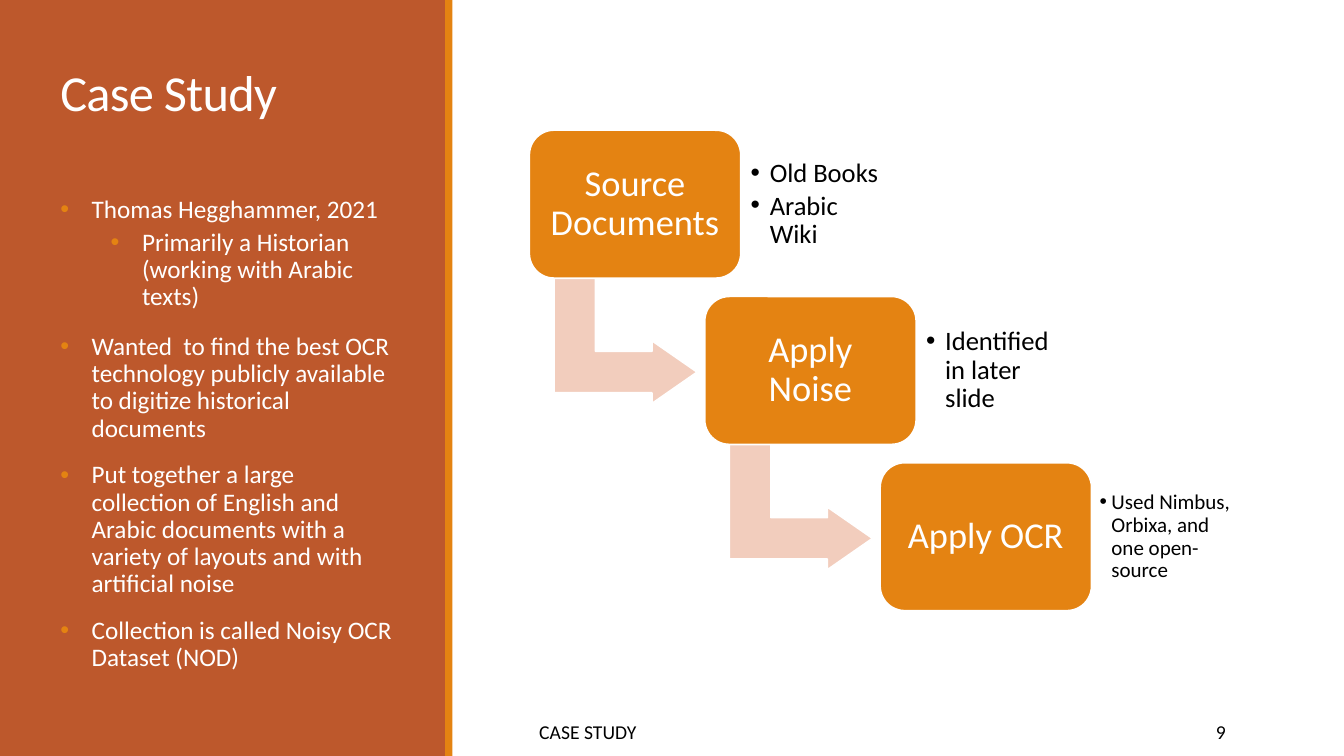
from dataclasses import dataclass

from lxml import etree
from pptx import Presentation
from pptx.dml.color import RGBColor
from pptx.enum.shapes import MSO_SHAPE
from pptx.enum.text import MSO_ANCHOR, MSO_AUTO_SIZE, PP_ALIGN
from pptx.oxml.ns import qn
from pptx.util import Cm, Pt

RECT, ROUNDED = MSO_SHAPE.RECTANGLE, MSO_SHAPE.ROUNDED_RECTANGLE
BENT_ARROW = MSO_SHAPE.BENT_UP_ARROW
TOP, MIDDLE = MSO_ANCHOR.TOP, MSO_ANCHOR.MIDDLE
LEFT, CENTER, RIGHT = PP_ALIGN.LEFT, PP_ALIGN.CENTER, PP_ALIGN.RIGHT

FONT = "Calibri"
COLORS = {"rust": "BD582C", "orange": "E48312", "peach": "F2CDBD",
          "white": "FFFFFF", "black": "000000"}

# Staircase geometry in cm
FIRST_X, FIRST_Y = 13.34, 3.28
STEP_X, STEP_Y = 4.42, 4.19
BOX_W, BOX_H = 5.33, 3.73


@dataclass
class Para:
    text: str
    indent: float = 0
    before: float = 0
    after: float = 0


@dataclass
class Step:
    name: str
    notes: list[str]
    size: float = 19
    hang: float = 0.48
    inset: float = 0.25


POINTS = [
    Para("Thomas Hegghammer, 2021", 0.79, 0, 2),
    Para("Primarily a Historian (working with Arabic texts)", 2.06, 2, 4),
    Para("Wanted  to find the best OCR technology publicly available "
         "to digitize historical documents", 0.79, 12, 2),
    Para("Put together a large collection of English and Arabic documents "
         "with a variety of layouts and with artificial noise", 0.79, 12, 2),
    Para("Collection is called Noisy OCR Dataset (NOD)", 0.79, 12, 2),
]
STEPS = [
    Step("Source Documents", ["Old Books", "Arabic Wiki"]),
    Step("Apply Noise", ["Identified in later slide"]),
    Step("Apply OCR", ["Used Nimbus, Orbixa, and one open-source"], 15, 0.3, 0.2),
]


def rgb(name: str) -> RGBColor:
    return RGBColor.from_string(COLORS[name])


def add_bullet(p, indent: float, hang: float, color: str) -> None:
    pPr = p._p.get_or_add_pPr()
    pPr.set("marL", str(Cm(indent)))
    pPr.set("indent", str(-Cm(hang)))
    clr = etree.SubElement(pPr, qn("a:buClr"))
    etree.SubElement(clr, qn("a:srgbClr")).set("val", COLORS[color])
    etree.SubElement(pPr, qn("a:buFont")).set("typeface", "Arial")
    etree.SubElement(pPr, qn("a:buChar")).set("char", "•")


def write(shape, paras: list[Para], *, size: float, color: str, align=LEFT,
          anchor=TOP, spacing: float = 0.9, insets=(0.25, 0.13),
          hang: float = 0, bullet: str = "", tracking: int = 0) -> None:
    tf = shape.text_frame
    tf.word_wrap = True
    tf.auto_size = MSO_AUTO_SIZE.NONE
    tf.vertical_anchor = anchor
    tf.margin_left = tf.margin_right = Cm(insets[0])
    tf.margin_top = tf.margin_bottom = Cm(insets[1])
    for i, para in enumerate(paras):
        p = tf.add_paragraph() if i else tf.paragraphs[0]
        p.alignment = align
        p.line_spacing = spacing
        p.space_before, p.space_after = Pt(para.before), Pt(para.after)
        if bullet:
            add_bullet(p, para.indent, hang, bullet)
        r = p.add_run()
        r.text = para.text
        r.font.name, r.font.size = FONT, Pt(size)
        r.font.color.rgb = rgb(color)
        if tracking:
            r.font._element.set("spc", str(tracking))


def add_block(s, kind, x: float, y: float, w: float, h: float, fill: str,
              line: str = ""):
    sp = s.shapes.add_shape(kind, Cm(x), Cm(y), Cm(w), Cm(h))
    sp.shadow.inherit = False
    sp.fill.solid()
    sp.fill.fore_color.rgb = rgb(fill)
    if line:
        sp.line.color.rgb = rgb(line)
        sp.line.width = Pt(1.25)
    else:
        sp.line.fill.background()
    return sp


def add_text(s, x: float, y: float, w: float, h: float, paras: list[Para],
             **fmt) -> None:
    write(s.shapes.add_textbox(Cm(x), Cm(y), Cm(w), Cm(h)), paras, **fmt)


def add_step(s, step: Step, x: float, y: float, has_next: bool) -> None:
    if has_next:
        arrow = add_block(s, BENT_ARROW, x + 0.84, y + 3.5, 3.17, 3.61,
                          "peach", "white")
        arrow.rotation = 90
        for i, value in enumerate((0.33, 0.25, 0.36)):
            arrow.adjustments[i] = value
    box = add_block(s, ROUNDED, x, y, BOX_W, BOX_H, "orange", "white")
    write(box, [Para(step.name)], size=26, color="white", align=CENTER,
          anchor=MIDDLE, insets=(0.28, 0.28))
    notes = [Para(note, step.hang, after=3) for note in step.notes]
    add_text(s, x + BOX_W, y + 0.36, 3.88, 3.02, notes, size=step.size,
             color="black", anchor=MIDDLE, insets=(step.inset, step.inset),
             hang=step.hang, bullet="black")


def main() -> None:
    prs = Presentation()
    prs.slide_width, prs.slide_height = Cm(33.87), Cm(19.05)
    s = prs.slides.add_slide(prs.slide_layouts[5])

    # Side panel
    add_block(s, RECT, 0, 0, 11.25, 19.05, "rust")
    add_block(s, RECT, 11.22, 0, 0.18, 19.05, "orange")

    # Title, raised above the panel
    title = s.shapes.title
    s.shapes._spTree.append(title._element)
    title.left, title.top = Cm(1.27), Cm(1.65)
    title.width, title.height = Cm(8.89), Cm(6.35)
    write(title, [Para("Case Study")], size=36, color="white", spacing=0.85,
          tracking=-50)

    # Bullet points
    add_text(s, 1.27, 4.83, 8.89, 12.57, POINTS, size=18, color="white",
             hang=0.79, bullet="orange")

    # Staircase of steps
    for i, step in enumerate(STEPS):
        add_step(s, step, FIRST_X + i * STEP_X, FIRST_Y + i * STEP_Y,
                 i < len(STEPS) - 1)

    # Footer and slide number
    footer = {"size": 14, "color": "black", "anchor": MIDDLE, "spacing": 1.0}
    add_text(s, 13.34, 17.93, 12.9, 1.02, [Para("CASE STUDY")], **footer)
    add_text(s, 27.51, 17.93, 3.63, 1.02, [Para("9")], align=RIGHT, **footer)

    prs.save("out.pptx")


if __name__ == "__main__":
    main()
